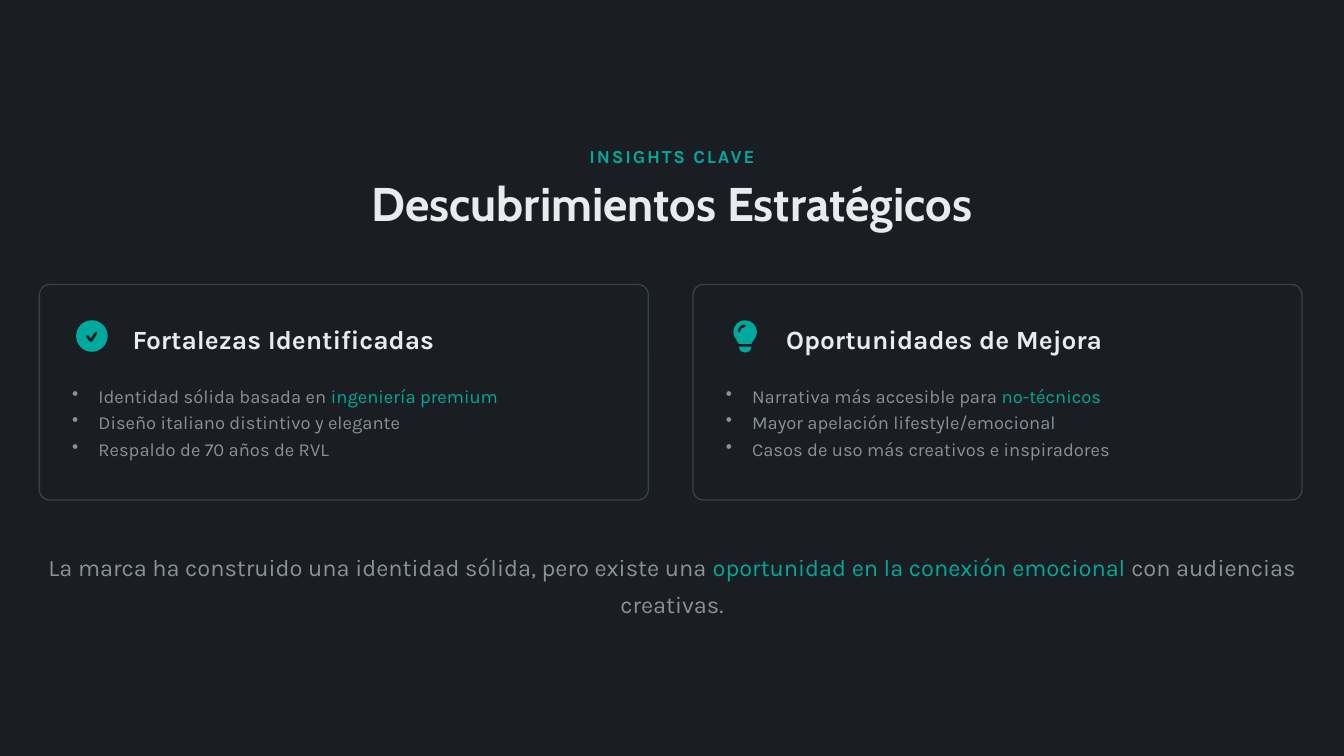
from dataclasses import dataclass

from lxml.etree import SubElement
from pptx import Presentation
from pptx.dml.color import RGBColor
from pptx.enum.shapes import MSO_SHAPE as Preset
from pptx.enum.text import MSO_ANCHOR as Anchor, PP_ALIGN as Align
from pptx.oxml import parse_xml
from pptx.oxml.ns import nsdecls, qn
from pptx.util import Pt

BACKGROUND = RGBColor(0x1A, 0x1D, 0x21)
TEAL = RGBColor(0x00, 0xA9, 0x9D)
WHITE = RGBColor(0xEA, 0xEB, 0xEF)
GRAY = RGBColor(0x8A, 0x91, 0x99)
BORDER = RGBColor(0x36, 0x41, 0x53)

CARD_TOP, CARD_WIDTH, CARD_HEIGHT = 216.75, 464, 164.25
ICON_SIZE, ICON_GRID = 24, 512

# Icon outlines on a 512 grid: pairs are corners, sextuples are Bézier curves
Outline = list[tuple[float, ...]]
CHECK_ICON: list[Outline] = [
    [(256, 512), (397, 512, 512, 397, 512, 256), (512, 115, 397, 0, 256, 0),
     (115, 0, 0, 115, 0, 256), (0, 397, 115, 512, 256, 512)],
    [(344, 218), (268, 340), (262, 349, 252, 353, 241, 353),
     (230, 353, 220, 348, 213, 340), (164, 275), (156, 264, 158, 249, 169, 241),
     (179, 233, 194, 235, 202, 246), (239, 292), (303, 192),
     (310, 181, 324, 178, 336, 185), (347, 192, 350, 207, 344, 218)],
]
BULB_ICON: list[Outline] = [
    [(292, 384), (300, 356, 316, 338, 333, 318), (365, 280, 384, 240, 384, 192),
     (384, 86, 298, 0, 192, 0), (86, 0, 0, 86, 0, 192),
     (0, 240, 19, 280, 51, 318), (68, 338, 84, 356, 92, 384)],
    [(292, 430), (92, 430), (92, 444), (92, 488, 126, 522, 170, 522),
     (214, 522), (258, 522, 292, 488, 292, 444)],
    [(184, 112), (140, 112, 112, 145, 112, 184), (112, 195, 105, 203, 94, 203),
     (83, 203, 74, 195, 74, 184), (74, 118, 121, 68, 184, 68),
     (198, 68, 208, 77, 208, 90), (208, 103, 198, 112, 184, 112)],
]


@dataclass
class Run:
    text: str
    color: RGBColor = GRAY


@dataclass
class Style:
    size: float
    line_spacing: float
    font: str = "Karla"
    bold: bool = False
    align: Align = Align.LEFT
    tracking: int = 0
    bulleted: bool = False


@dataclass
class Card:
    left: float
    icon: list[Outline]
    icon_inset: float
    heading: str
    points: list[list[Run]]


KICKER = Style(14, 1.2, bold=True, align=Align.CENTER, tracking=140)
TITLE = Style(36, 0.9, font="Cabin", bold=True, align=Align.CENTER)
HEADING = Style(20, 1.2, bold=True)
BULLETS = Style(14, 1.2, bulleted=True)
CONCLUSION = Style(18, 1.3, align=Align.CENTER)

CARDS = [
    Card(30, CHECK_ICON, 28, "Fortalezas Identificadas", [
        [Run("Identidad sólida basada en "), Run("ingeniería premium", TEAL)],
        [Run("Diseño italiano distintivo y elegante")],
        [Run("Respaldo de 70 años de RVL")],
    ]),
    Card(528, BULB_ICON, 30.75, "Oportunidades de Mejora", [
        [Run("Narrativa más accesible para "), Run("no-técnicos", TEAL)],
        [Run("Mayor apelación lifestyle/emocional")],
        [Run("Casos de uso más creativos e inspiradores")],
    ]),
]


def add_text(slide, left: float, top: float, width: float, height: float,
             lines: list[list[Run]], style: Style) -> None:
    frame = slide.shapes.add_textbox(Pt(left), Pt(top), Pt(width), Pt(height)).text_frame
    frame.word_wrap = True
    frame.vertical_anchor = Anchor.MIDDLE
    frame.margin_left = frame.margin_right = frame.margin_top = frame.margin_bottom = 0
    for index, line in enumerate(lines):
        paragraph = frame.add_paragraph() if index else frame.paragraphs[0]
        paragraph.alignment = style.align
        paragraph.line_spacing = style.line_spacing
        if index:
            paragraph.space_before = Pt(0.1)
        if style.bulleted:
            properties = paragraph._p.get_or_add_pPr()
            properties.set("marL", str(Pt(20)))
            properties.set("indent", str(-Pt(20)))
            SubElement(properties, qn("a:buChar")).set("char", "•")
        paragraph.font.name = style.font
        paragraph.font.size = Pt(style.size)
        paragraph.font.bold = style.bold
        for part in line:
            run = paragraph.add_run()
            run.text = part.text
            run.font.color.rgb = part.color
            if style.bulleted:  # the bullet takes its size from the first run
                run.font.size = Pt(style.size)
            if style.tracking:
                run._r.get_or_add_rPr().set("spc", str(style.tracking))


def corners(segment: tuple[float, ...]) -> list[tuple[float, float]]:
    return list(zip(segment[::2], segment[1::2]))


def add_icon(slide, left: float, top: float, outlines: list[Outline]) -> None:
    builder = slide.shapes.build_freeform(*outlines[0][0], scale=Pt(ICON_SIZE) / ICON_GRID)
    for index, (start, *segments) in enumerate(outlines):
        if index:
            builder.move_to(*start)
        builder.add_line_segments([xy for segment in segments for xy in corners(segment)])
    icon = builder.convert_to_shape(Pt(left), Pt(top))

    # Join each three control points into one curve
    lines = iter(list(icon._element.iter(qn("a:lnTo"))))
    for segment in (segment for outline in outlines for segment in outline[1:]):
        controls = [next(lines) for _ in corners(segment)]
        if len(controls) == 3:
            curve = parse_xml(f"<a:cubicBezTo {nsdecls('a')}/>")
            controls[0].addprevious(curve)
            for control in controls:
                curve.append(control[0])
                control.getparent().remove(control)

    icon.shadow.inherit = False
    icon.fill.solid()
    icon.fill.fore_color.rgb = TEAL
    icon.line.fill.background()


def add_card(slide, card: Card) -> None:
    frame = slide.shapes.add_shape(Preset.ROUNDED_RECTANGLE, Pt(card.left), Pt(CARD_TOP),
                                   Pt(CARD_WIDTH), Pt(CARD_HEIGHT))
    frame.adjustments[0] = 8 / CARD_HEIGHT
    frame.shadow.inherit = False
    frame.fill.background()
    frame.line.color.rgb = BORDER
    frame.line.width = Pt(1)
    add_icon(slide, card.left + card.icon_inset, CARD_TOP + 27.25, card.icon)
    add_text(slide, card.left + 71, 242, 252, 28, [[Run(card.heading, WHITE)]], HEADING)
    add_text(slide, card.left + 25, 282, 424, 76.5, card.points, BULLETS)


def main() -> None:
    deck = Presentation()
    deck.slide_width, deck.slide_height = Pt(1024), Pt(576)
    slide = deck.slides.add_slide(deck.slide_layouts[6])
    slide.background.fill.solid()
    slide.background.fill.fore_color.rgb = BACKGROUND

    # Header
    add_text(slide, 440, 109.5, 144, 16, [[Run("INSIGHTS CLAVE", TEAL)]], KICKER)
    add_text(slide, 21, 137, 982, 40, [[Run("Descubrimientos Estratégicos", WHITE)]], TITLE)

    # Findings
    for card in CARDS:
        add_card(slide, card)

    # Conclusion
    add_text(slide, 25.5, 414.75, 973, 56, [[
        Run("La marca ha construido una identidad sólida, pero existe una "),
        Run("oportunidad en la conexión emocional ", TEAL),
        Run("con audiencias creativas."),
    ]], CONCLUSION)

    deck.save("out.pptx")


if __name__ == "__main__":
    main()
